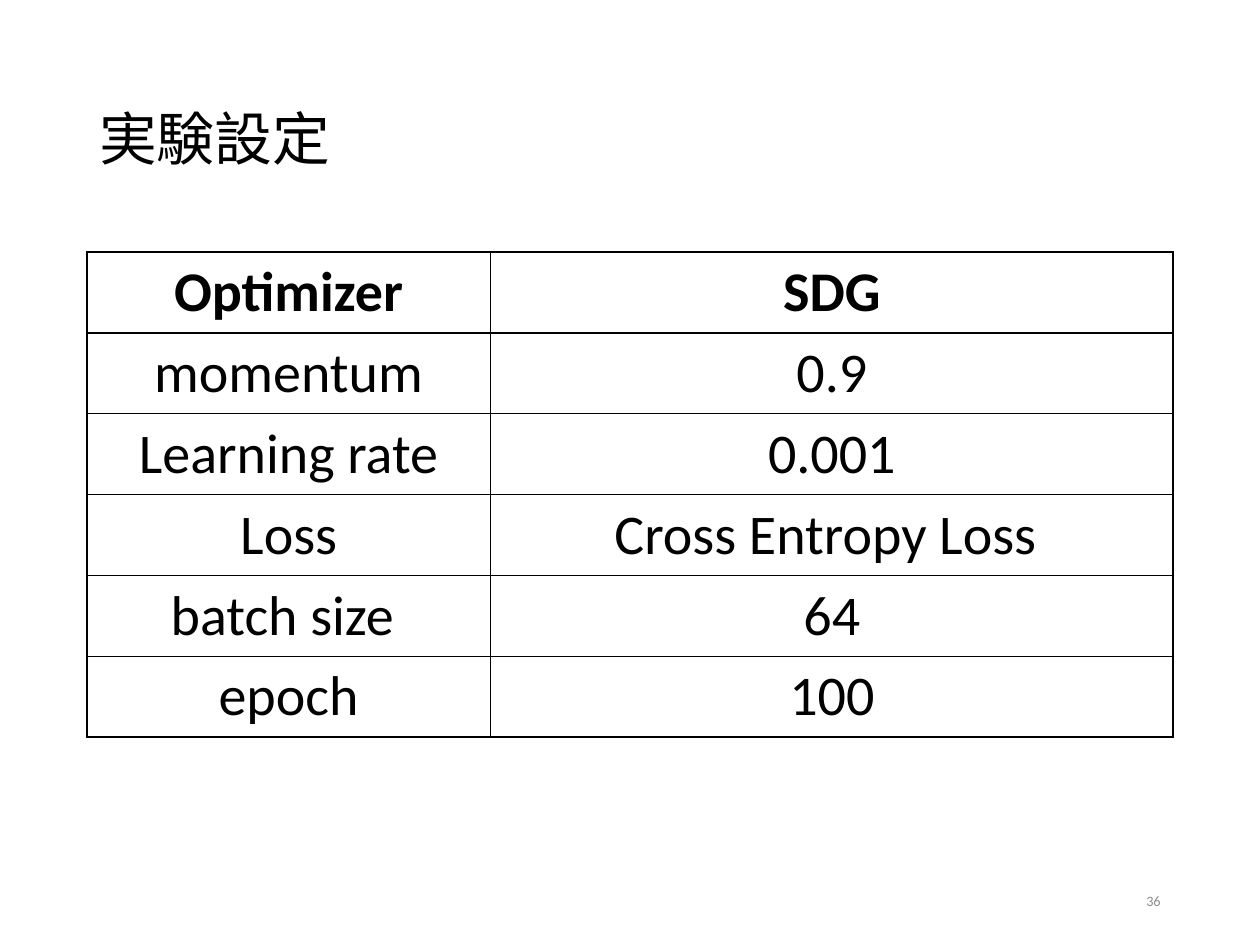
"""Build the experiment settings slide."""
from lxml.etree import SubElement
from pptx import Presentation
from pptx.dml.color import RGBColor
from pptx.enum.text import MSO_ANCHOR, PP_ALIGN
from pptx.oxml.ns import qn
from pptx.util import Cm, Pt

BLACK = RGBColor(0x00, 0x00, 0x00)
WHITE = RGBColor(0xFF, 0xFF, 0xFF)
GRAY = RGBColor(0x8C, 0x8C, 0x8C)
FONT = "Calibri"
LEFT = Cm(1.75)
COLUMN_WIDTHS = (Cm(8.14), Cm(13.76))
ROW_HEIGHT = Cm(1.63)
SETTINGS = (
    ("Optimizer", "SDG"),
    ("momentum", "0.9"),
    ("Learning rate", "0.001"),
    ("Loss", "Cross Entropy Loss "),
    ("batch size ", "64"),
    ("epoch", "100"),
)


def style_paragraph(paragraph, size, color, alignment, bold=False):
    """Set the font and alignment of a paragraph."""
    paragraph.alignment = alignment
    paragraph.font.name = FONT
    paragraph.font.size = Pt(size)
    paragraph.font.bold = bold
    paragraph.font.color.rgb = color


def add_text(slide, text, box, size, color, alignment):
    """Add a vertically centred text box and return its paragraph."""
    frame = slide.shapes.add_textbox(*box).text_frame
    frame.word_wrap = True
    frame.vertical_anchor = MSO_ANCHOR.MIDDLE
    paragraph = frame.paragraphs[0]
    paragraph.text = text
    style_paragraph(paragraph, size, color, alignment)
    return paragraph


def add_borders(cell):
    """Draw a thin black line on each side of a cell."""
    properties = cell._tc.get_or_add_tcPr()
    for position, side in enumerate(("lnL", "lnR", "lnT", "lnB")):
        line = SubElement(properties, qn(f"a:{side}"), w=str(Pt(1)))
        fill = SubElement(line, qn("a:solidFill"))
        SubElement(fill, qn("a:srgbClr"), val=str(BLACK))
        properties.insert(position, line)


def add_settings_table(slide):
    """Add the table of settings with a bold first row."""
    table = slide.shapes.add_table(
        len(SETTINGS), len(COLUMN_WIDTHS), LEFT, Cm(5.08),
        sum(COLUMN_WIDTHS), ROW_HEIGHT * len(SETTINGS),
    ).table
    for column, width in zip(table.columns, COLUMN_WIDTHS):
        column.width = width
    for row_index, values in enumerate(SETTINGS):
        table.rows[row_index].height = ROW_HEIGHT
        for column_index, value in enumerate(values):
            cell = table.cell(row_index, column_index)
            cell.text = value
            cell.vertical_anchor = MSO_ANCHOR.MIDDLE
            cell.fill.solid()
            cell.fill.fore_color.rgb = WHITE
            style_paragraph(cell.text_frame.paragraphs[0], 32, BLACK,
                            PP_ALIGN.CENTER, bold=row_index == 0)
            add_borders(cell)


def main():
    """Create and save the presentation."""
    presentation = Presentation()
    presentation.slide_width, presentation.slide_height = Cm(25.4), Cm(19.05)
    slide = presentation.slides.add_slide(presentation.slide_layouts[6])
    title = add_text(slide, "実験設定", (LEFT, Cm(1.02), Cm(21.9), Cm(3.68)),
                     33, BLACK, PP_ALIGN.LEFT)
    title.line_spacing = 0.9
    add_settings_table(slide)
    add_text(slide, "36", (Cm(17.95), Cm(17.65), Cm(5.7), Cm(1.02)),
             8.2, GRAY, PP_ALIGN.RIGHT)
    presentation.save("out.pptx")


if __name__ == "__main__":
    main()
